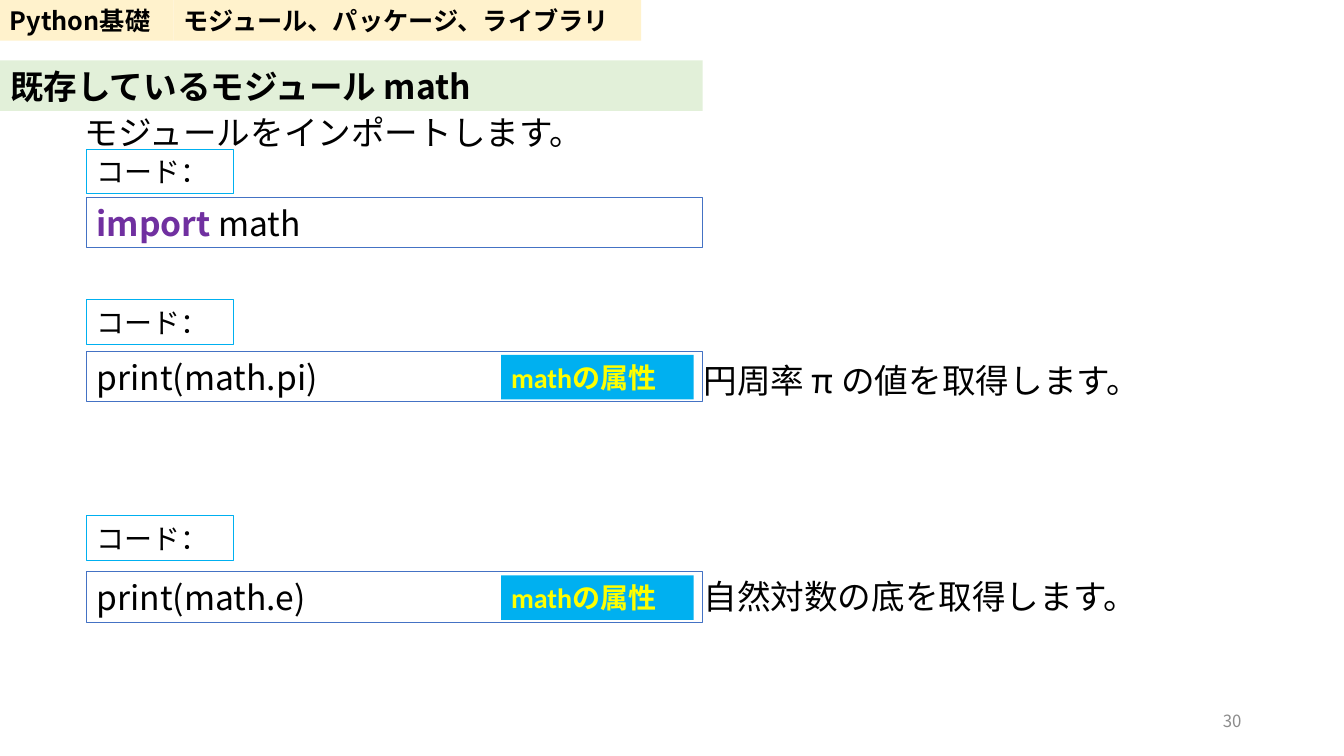
from lxml import etree
from pptx import Presentation
from pptx.dml.color import RGBColor
from pptx.enum import shapes, text
from pptx.oxml.ns import qn
from pptx.util import Pt

FONT = "Noto Sans CJK JP"
LEFT = 62
CODE_W = 440
LINE_H = 36
LABEL_H = 31.8


def rgb(value):
    return RGBColor.from_string(value)


def add_run(p, content, size=24, font=FONT, color="000000", bold=False):
    r = p.add_run()
    r.text = content
    r.font.size = Pt(size)
    r.font.name = font
    r.font.bold = bold
    r.font.color.rgb = rgb(color)
    # Japanese glyphs use the same face whatever the Latin font
    etree.SubElement(r._r.get_or_add_rPr(), qn("a:ea")).set("typeface", FONT)


def write(sp, content, align=text.PP_ALIGN.LEFT, **fmt):
    tf = sp.text_frame
    tf.word_wrap = True
    tf.auto_size = text.MSO_AUTO_SIZE.NONE
    tf.vertical_anchor = text.MSO_ANCHOR.MIDDLE
    tf.margin_left = tf.margin_right = Pt(7.2)
    tf.margin_top = tf.margin_bottom = Pt(3.6)
    p = tf.paragraphs[0]
    p.alignment = align
    add_run(p, content, **fmt)
    return p


def add_box(s, x, y, w, h, content, fill=None, line=None, **fmt):
    sp = s.shapes.add_shape(shapes.MSO_SHAPE.RECTANGLE, Pt(x), Pt(y), Pt(w), Pt(h))
    sp.shadow.inherit = False
    if fill:
        sp.fill.solid()
        sp.fill.fore_color.rgb = rgb(fill)
    else:
        sp.fill.background()
    if line:
        sp.line.color.rgb = rgb(line)
        sp.line.width = Pt(0.75)
    else:
        sp.line.fill.background()
    return write(sp, content, **fmt)


def add_note(s, x, y, w, h, content, **fmt):
    write(s.shapes.add_textbox(Pt(x), Pt(y), Pt(w), Pt(h)), content, **fmt)


def add_title(s, content):
    sp = s.shapes.title
    sp.left, sp.top, sp.width, sp.height = Pt(0), Pt(43.2), Pt(502), Pt(LINE_H)
    sp.fill.solid()
    sp.fill.fore_color.rgb = rgb("E2F0D9")
    write(sp, content, bold=True)


def add_label(s, y):
    add_box(s, LEFT, y, 104.5, LABEL_H, "コード：", line="00B0F0", size=20,
            font="Courier New", align=text.PP_ALIGN.JUSTIFY)


def add_code(s, y, content, **fmt):
    return add_box(s, LEFT, y, CODE_W, LINE_H, content, line="4472C4", **fmt)


def add_tag(s, y):
    add_box(s, 358, y, 137.5, LABEL_H, "mathの属性", fill="00B0F0", size=20,
            font="Calibri", color="FFFF00", bold=True)


def main():
    prs = Presentation()
    prs.slide_width, prs.slide_height = Pt(960), Pt(540)
    s = prs.slides.add_slide(prs.slide_layouts[5])

    # Header and title
    for x, w, content in ((0, 124, "Python基礎"),
                          (124, 334, "モジュール、パッケージ、ライブラリ")):
        add_box(s, x, 0, w, 29, content, fill="FFF2CC", size=18, bold=True)
    add_title(s, "既存しているモジュール math")

    # Import statement
    add_note(s, 53.5, 76.5, 452, LINE_H, "モジュールをインポートします。")
    add_label(s, 106.5)
    p = add_code(s, 141, "import", color="7030A0", bold=True)
    add_run(p, " math")

    # Attribute examples: label, code, tag and explanation
    for label_y, code_y, note_y, code, note in (
            (214, 251, 253.5, "print(math.pi)", "円周率 π の値を取得します。"),
            (368.5, 408.5, 407.5, "print(math.e)", "自然対数の底を取得します。")):
        add_label(s, label_y)
        add_code(s, code_y, code)
        add_tag(s, code_y + 2.5)
        add_note(s, 495.5, note_y, 484, LINE_H, note)

    # Page number
    add_note(s, 678, 500.5, 216, 29, "30", size=12, color="8C8C8C",
             align=text.PP_ALIGN.RIGHT)

    prs.save("out.pptx")


if __name__ == "__main__":
    main()
